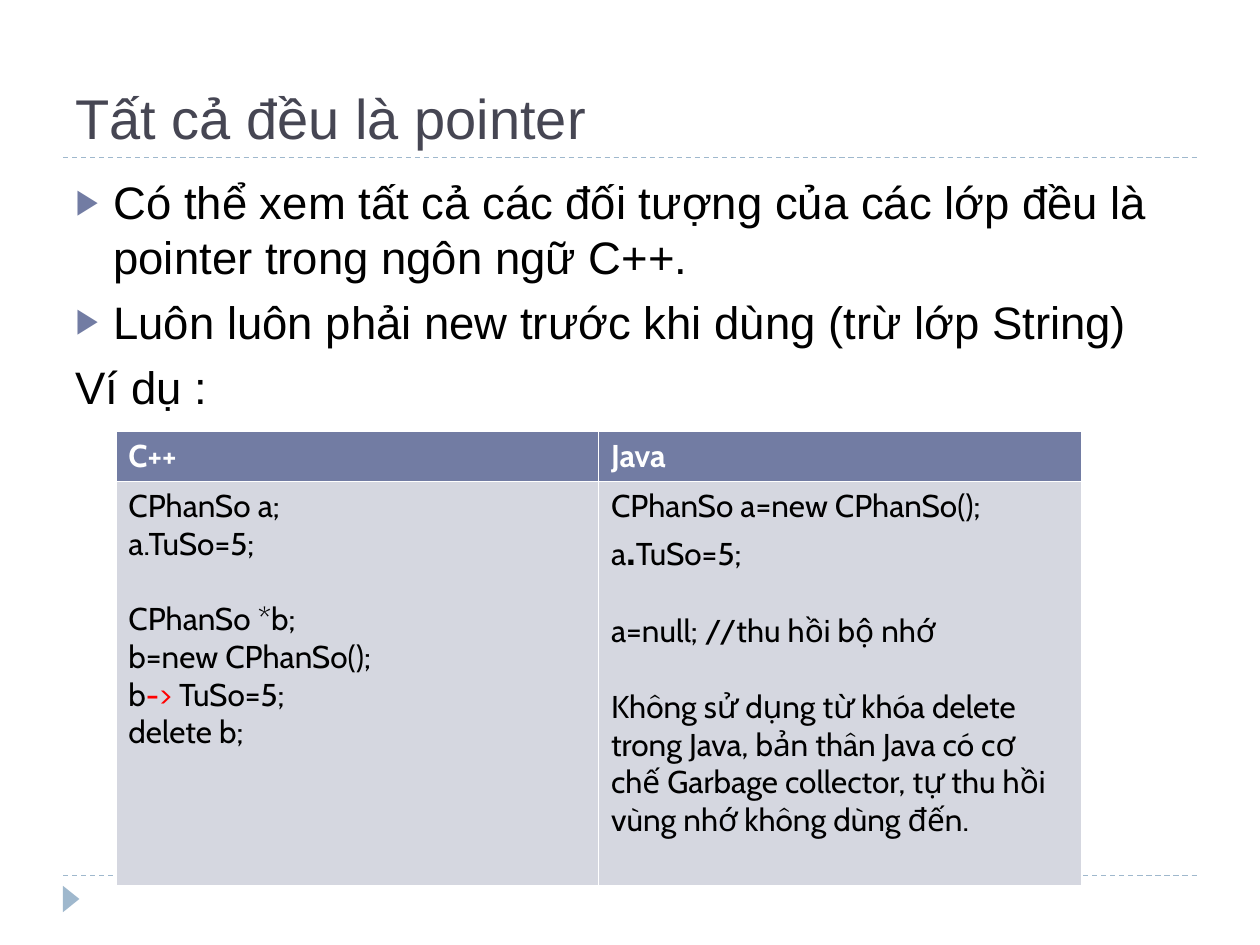
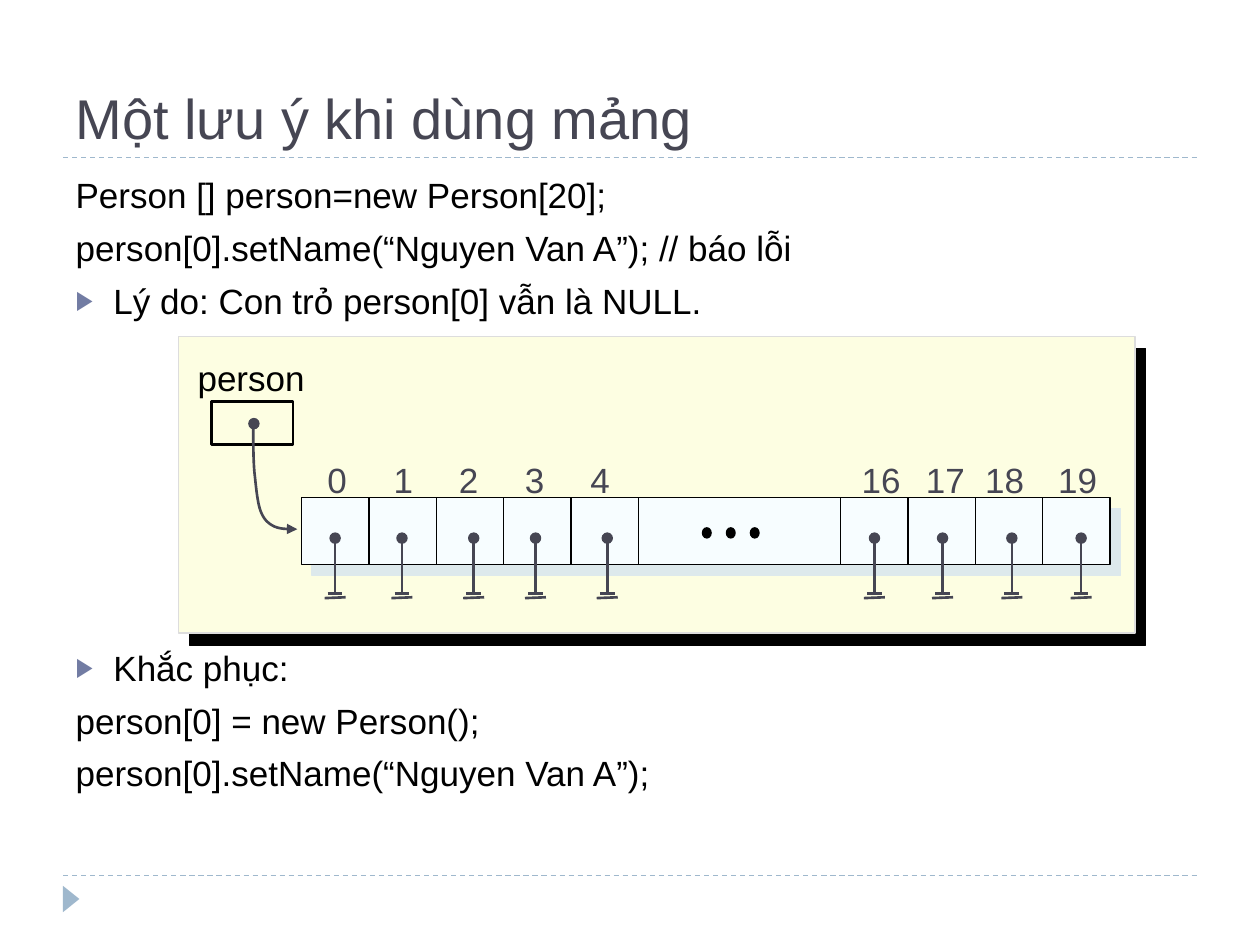
from lxml import etree
from pptx import Presentation
from pptx.dml.color import RGBColor
from pptx.enum.dml import MSO_LINE
from pptx.enum.shapes import MSO_CONNECTOR, MSO_SHAPE
from pptx.enum.text import MSO_ANCHOR, MSO_AUTO_SIZE, PP_ALIGN
from pptx.oxml.ns import qn
from pptx.util import Pt

STRAIGHT = MSO_CONNECTOR.STRAIGHT
RECTANGLE, OVAL = MSO_SHAPE.RECTANGLE, MSO_SHAPE.OVAL
TRIANGLE = MSO_SHAPE.ISOSCELES_TRIANGLE
LEFT = PP_ALIGN.LEFT
TOP, BOTTOM = MSO_ANCHOR.TOP, MSO_ANCHOR.BOTTOM
NO_AUTOFIT = MSO_AUTO_SIZE.NONE
DASH = MSO_LINE.DASH

BLACK, WHITE, RED = "000000", "FFFFFF", "FF0000"
INK, ACCENT, RULE = "464653", "727CA3", "9FB8CD"
CELL_FILL = "D5D7E0"
TITLE_BOX = (36, 12.2, 648, 77.8)
BODY_BOX = (36, 95.8, 648, 388.8)
RULE_LEFT, RULE_RIGHT = 36, 684
CODE_GAP = 21.5    # one empty line of table text
DIAGRAM_GAP = 186  # room for the diagram between two list items


def rgb(color):
    return RGBColor.from_string(color)


def points(values):
    return [Pt(value) for value in values]


def set_values(target, values):
    for name, value in values.items():
        setattr(target, name, value)


def add_xml(parent, tag, **attributes):
    return etree.SubElement(parent, qn(tag),
                            {key: str(value) for key, value in attributes.items()})


def add_color(parent, color):
    add_xml(add_xml(parent, "a:solidFill"), "a:srgbClr", val=color)


def add_run(paragraph, text, color, size, font="Arial", bold=False):
    run = paragraph.add_run()
    run.text = text
    set_values(run.font, {"name": font, "size": Pt(size), "bold": bold})
    run.font.color.rgb = rgb(color)


def next_paragraph(frame, index):
    return frame.paragraphs[0] if index == 0 else frame.add_paragraph()


def draw_line(slide, start, end, color, width, dash=None):
    line = slide.shapes.add_connector(STRAIGHT, *points(start + end))
    line.line.color.rgb = rgb(color)
    set_values(line.line, {"width": Pt(width), "dash_style": dash})
    add_xml(line._element.spPr, "a:effectLst")


def draw_shape(slide, kind, box, fill=None, outline=None, width=0.75, shadow=None):
    """Draw a preset shape; shadow is (colour, distance, angle)."""
    shape = slide.shapes.add_shape(kind, *points(box))
    shape.shadow.inherit = False
    if fill:
        shape.fill.solid()
        shape.fill.fore_color.rgb = rgb(fill)
    else:
        shape.fill.background()
    if outline:
        shape.line.color.rgb = rgb(outline)
        shape.line.width = Pt(width)
    else:
        shape.line.fill.background()
    if shadow:
        color, distance, angle = shadow
        effects = shape._element.spPr.find(qn("a:effectLst"))
        outer = add_xml(effects, "a:outerShdw", blurRad=0, dist=int(Pt(distance)),
                        dir=angle * 60000, algn="ctr", rotWithShape=0)
        add_xml(outer, "a:srgbClr", val=color)
    return shape


def draw_label(slide, text, box, color, wrap=False):
    label = slide.shapes.add_textbox(*points(box))
    set_values(label.text_frame, {"word_wrap": wrap, "auto_size": NO_AUTOFIT})
    add_run(label.text_frame.paragraphs[0], text, color, 20)


def place(placeholder, box, anchor):
    sides = zip(("left", "top", "width", "height"), points(box))
    set_values(placeholder, dict(sides))
    set_values(placeholder.text_frame, {"vertical_anchor": anchor, "word_wrap": True,
                                        "auto_size": NO_AUTOFIT})
    return placeholder.text_frame


def set_bullet(paragraph, bulleted):
    properties = paragraph._p.get_or_add_pPr()
    properties.set("marL", str(Pt(21.6)))
    properties.set("indent", str(-Pt(21.6)))
    if bulleted:
        add_xml(add_xml(properties, "a:buClr"), "a:srgbClr", val=ACCENT)
        add_xml(properties, "a:buSzPct", val=76000)
        add_xml(properties, "a:buChar", char="▶")
    else:
        add_xml(properties, "a:buNone")


def add_framed_slide(prs, title, items, size):
    """Add a slide with title, rules, page marker and (text, bulleted, gap) items."""
    slide = prs.slides.add_slide(prs.slide_layouts[1])
    for y in (500.4, 90):
        draw_line(slide, (RULE_LEFT, y), (RULE_RIGHT, y), RULE, 0.75, DASH)
    draw_shape(slide, TRIANGLE, (33.1, 509, 15.1, 9.4), RULE).rotation = 90

    heading = place(slide.shapes.title, TITLE_BOX, BOTTOM).paragraphs[0]
    heading.alignment = LEFT
    add_run(heading, title, INK, 32)

    body = place(slide.placeholders[1], BODY_BOX, TOP)
    for index, (text, bulleted, gap) in enumerate(items):
        item = next_paragraph(body, index)
        set_values(item, {"alignment": LEFT, "space_before": Pt(gap)})
        set_bullet(item, bulleted)
        add_run(item, text, BLACK, size)
    return slide


def set_borders(cell, widths):
    properties = cell._tc.get_or_add_tcPr()
    for position, (side, width) in enumerate(widths.items()):
        border = etree.Element(qn(f"a:ln{side}"), {"w": str(Pt(width))})
        add_color(border, WHITE)
        properties.insert(position, border)


def fill_cell(cell, lines, fill, borders):
    """Write (gap, runs) lines, each run being (text, format overrides)."""
    cell.fill.solid()
    cell.fill.fore_color.rgb = rgb(fill)
    set_borders(cell, borders)
    for index, (gap, runs) in enumerate(lines):
        paragraph = next_paragraph(cell.text_frame, index)
        set_values(paragraph, {"line_spacing": 0.98, "space_before": Pt(gap)})
        for text, overrides in runs:
            add_run(paragraph, text, **{"color": BLACK, "size": 18, "font": "Cabin",
                                        **overrides})


def code(text, gap=0):
    return gap, [(text, {})]


def draw_comparison(slide, columns):
    table = slide.shapes.add_table(2, 2, *points((66.2, 246.2, 551.6, 259.4))).table
    set_values(table, {"first_row": False, "horz_banding": False})
    for row, height in zip(table.rows, (28.8, 230.6)):
        row.height = Pt(height)
    for index, (language, lines) in enumerate(columns.items()):
        table.columns[index].width = Pt(275.8)
        header = [(0, [(language, {"color": WHITE, "bold": True})])]
        fill_cell(table.cell(0, index), header, ACCENT,
                  {"L": 0.23, "R": 0.23, "T": 0.23, "B": 0.75})
        fill_cell(table.cell(1, index), lines, CELL_FILL,
                  {"L": 0.23, "R": 0.23, "T": 0.75, "B": 0.23})


def build_pointer_slide(prs):
    slide = add_framed_slide(prs, "Tất cả đều là pointer", [
        ("Có thể xem tất cả các đối tượng của các lớp đều là pointer "
         "trong ngôn ngữ C++.", True, 6),
        ("Luôn luôn phải new trước khi dùng (trừ lớp String)", True, 6),
        ("Ví dụ :", False, 6),
    ], 26)
    draw_comparison(slide, {
        "C++": [
            code("CPhanSo a;"),
            code("a.TuSo=5;"),
            code("CPhanSo *b;", CODE_GAP),
            code("b=new CPhanSo();"),
            (0, [("b", {}), ("->", {"color": RED}), (" TuSo=5;", {})]),
            code("delete b;"),
        ],
        "Java": [
            code("CPhanSo a=new CPhanSo();"),
            (0, [("a", {}), (".", {"size": 24, "bold": True}), ("TuSo=5;", {})]),
            code("a=null; //thu hồi bộ nhớ", CODE_GAP),
            code("Không sử dụng từ khóa delete trong Java, bản thân Java có cơ chế "
                 "Garbage collector, tự thu hồi vùng nhớ không dùng đến.", CODE_GAP),
        ],
    })


def bezier(start, curves, steps=8):
    """Return the points along a chain of cubic curves."""
    track = [start]
    for first, second, end in curves:
        origin = track[-1]
        for step in range(1, steps + 1):
            t = step / steps
            track.append(tuple(
                (1 - t) ** 3 * a + 3 * t * (1 - t) ** 2 * b
                + 3 * t * t * (1 - t) * c + t ** 3 * d
                for a, b, c, d in zip(origin, first, second, end)))
    return track


def draw_reference_arrow(slide):
    track = bezier((144.7, 243.4), [
        ((144.7, 252.7), (144.7, 262.1), (145.4, 270)),
        ((146.2, 277.2), (146.9, 285.1), (148.3, 290.2)),
        ((149.8, 295.2), (151.9, 298.1), (155.5, 300.2)),
        ((159.1, 302.4), (164.2, 302.4), (169.9, 302.4)),
    ])
    start, *rest = [points(spot) for spot in track]
    outline = slide.shapes.build_freeform(*start)
    outline.add_line_segments(rest, close=False)
    arrow = outline.convert_to_shape()
    arrow.shadow.inherit = False
    arrow.fill.background()
    arrow.line.color.rgb = rgb(INK)
    arrow.line.width = Pt(1.5)
    add_xml(arrow.line._get_or_add_ln(), "a:tailEnd", type="triangle")


def draw_null_pointer(slide, x):
    """Draw a dot, its stem and the two ground bars."""
    draw_shape(slide, OVAL, (x - 2.9, 304.6, 5.8, 5.8), INK, INK)
    draw_line(slide, (x, 307.4), (x, 339.8), INK, 1.5)
    for half, left_y, right_y in ((4.2, 339.1, 339.1), (6, 341.8, 341.3)):
        draw_line(slide, (x - half, left_y), (x + half, right_y), INK, 1.5)


def draw_array_diagram(slide):
    draw_shape(slide, RECTANGLE, (102.2, 192.2, 546.5, 169.6), "FDFEE2", "DDDDDD",
               shadow=(BLACK, 9.2, 49))
    left, top, unit, height = 172.3, 284.5, 38.5, 38.2
    draw_shape(slide, RECTANGLE, (left, top, 12 * unit, height), "F7FDFF", BLACK,
               shadow=("DDE9EC", 8.5, 45))
    for column in (1, 2, 3, 4, 5, 8, 9, 10, 11):
        x = left + column * unit
        draw_line(slide, (x, top), (x, top + height), BLACK, 0.75)

    # index: (label left, pointer centre)
    slots = {0: (180, 191.5), 1: (217.8, 229.7), 2: (255.2, 270.7),
             3: (292.9, 306), 4: (330.3, 347), 16: (485.3, 499.7),
             17: (522, 538.6), 18: (555.8, 578.2), 19: (597.6, 617.8)}
    for index, (label_left, pointer_x) in slots.items():
        width = 25.4 if index < 10 else 36.6
        draw_label(slide, str(index), (label_left, 258.5, width, 31.5), INK)
        draw_null_pointer(slide, pointer_x)
    for dot in range(3):
        draw_shape(slide, OVAL, (401.4 + 13.7 * dot, 301.6, 5, 5.8), BLACK, BLACK)

    draw_label(slide, "person", (105.8, 200.2, 82.8, 31.5), BLACK, wrap=True)
    draw_shape(slide, RECTANGLE, (121, 229.5, 46.4, 24.5), None, BLACK, 1.5)
    draw_shape(slide, OVAL, (142.2, 239.2, 5.8, 5.8), INK, INK)
    draw_reference_arrow(slide)


def build_array_slide(prs):
    slide = add_framed_slide(prs, "Một lưu ý khi dùng mảng", [
        ("Person [] person=new Person[20];", False, 6),
        ("person[0].setName(“Nguyen Van A”); // báo lỗi", False, 6),
        ("Lý do: Con trỏ person[0] vẫn là NULL.", True, 6),
        ("Khắc phục:", True, DIAGRAM_GAP),
        ("person[0] = new Person();", False, 6),
        ("person[0].setName(“Nguyen Van A”);", False, 6),
    ], 20)
    draw_array_diagram(slide)


def main():
    prs = Presentation()
    set_values(prs, {"slide_width": Pt(720), "slide_height": Pt(540)})
    build_pointer_slide(prs)
    build_array_slide(prs)
    prs.save("out.pptx")


if __name__ == "__main__":
    main()
